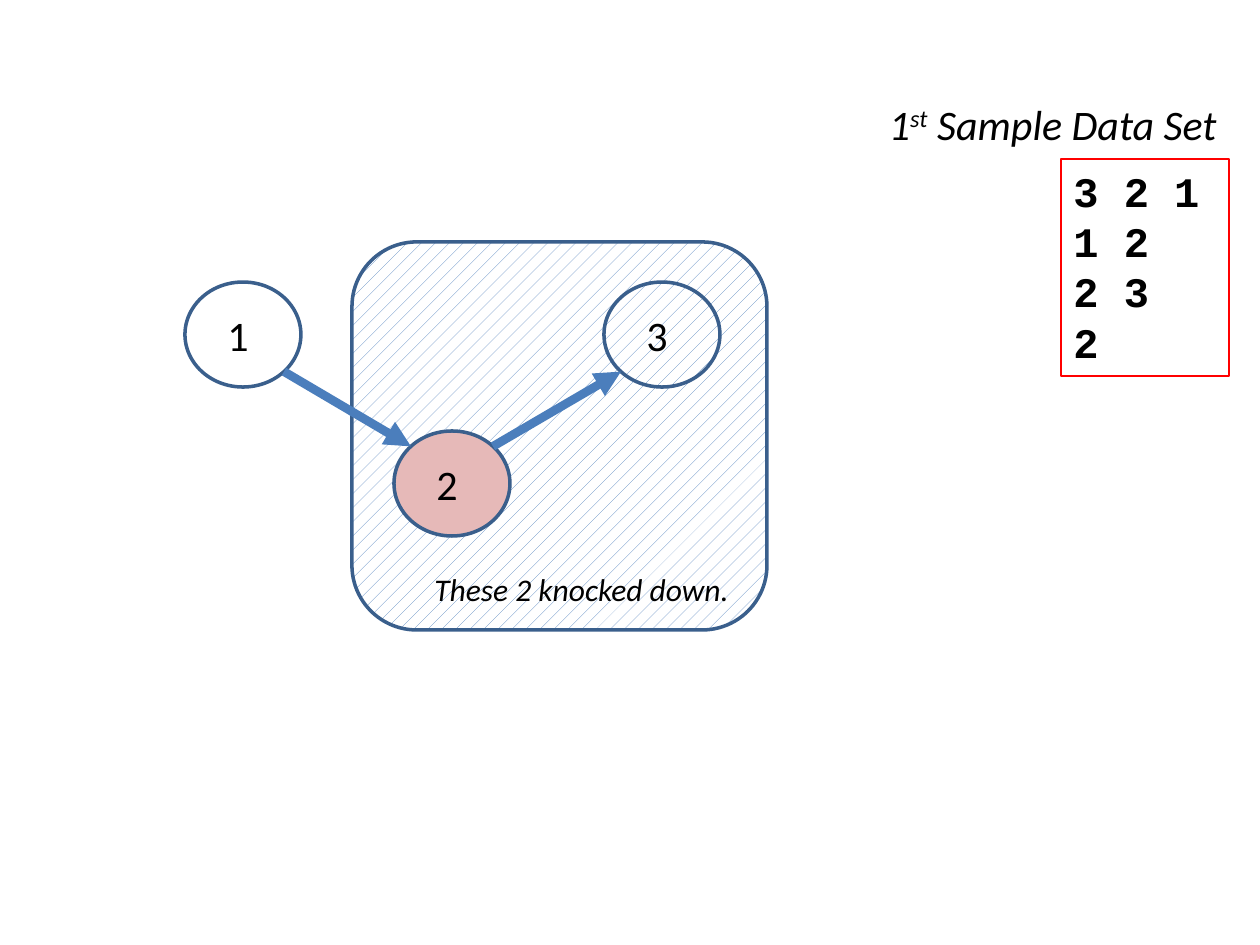
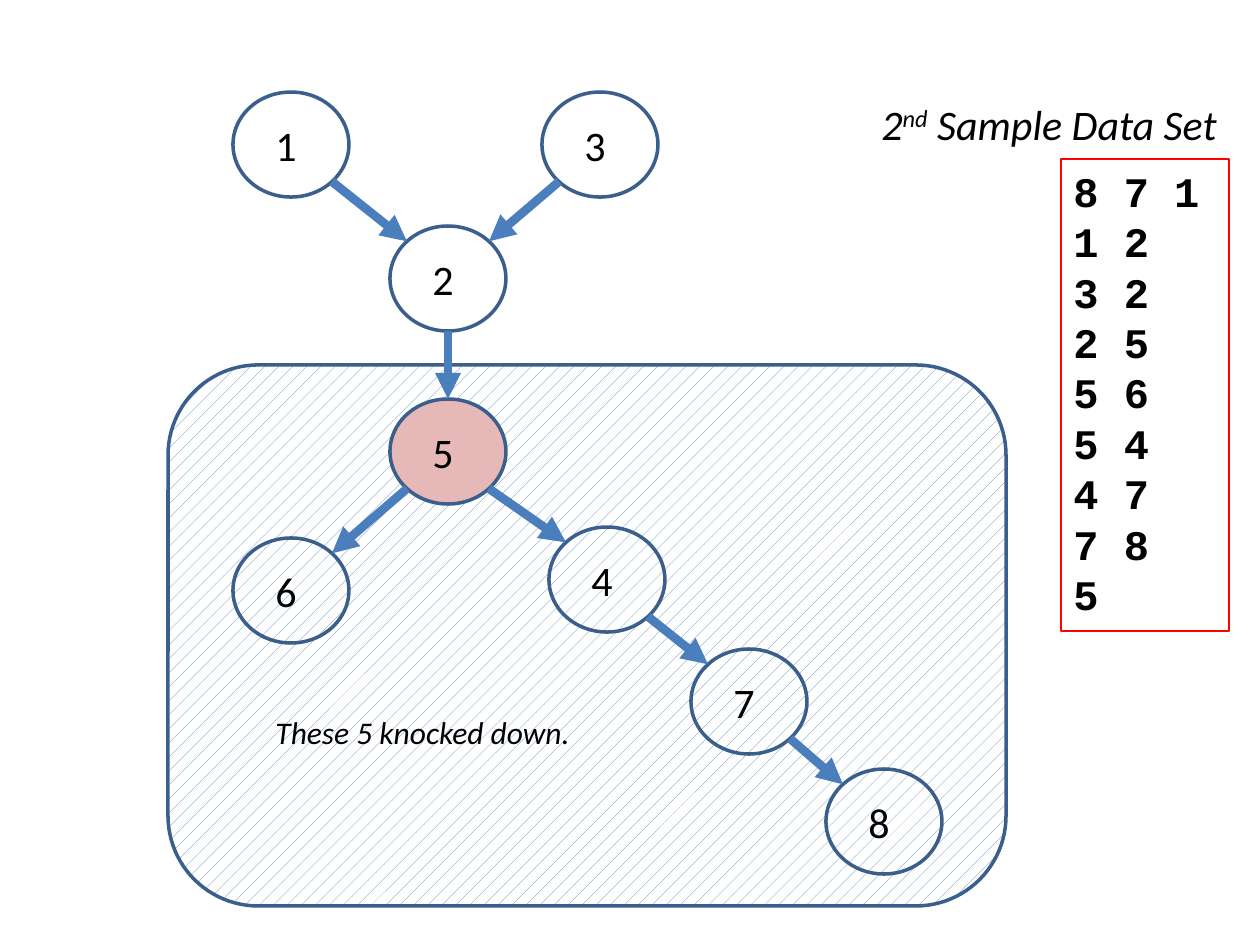
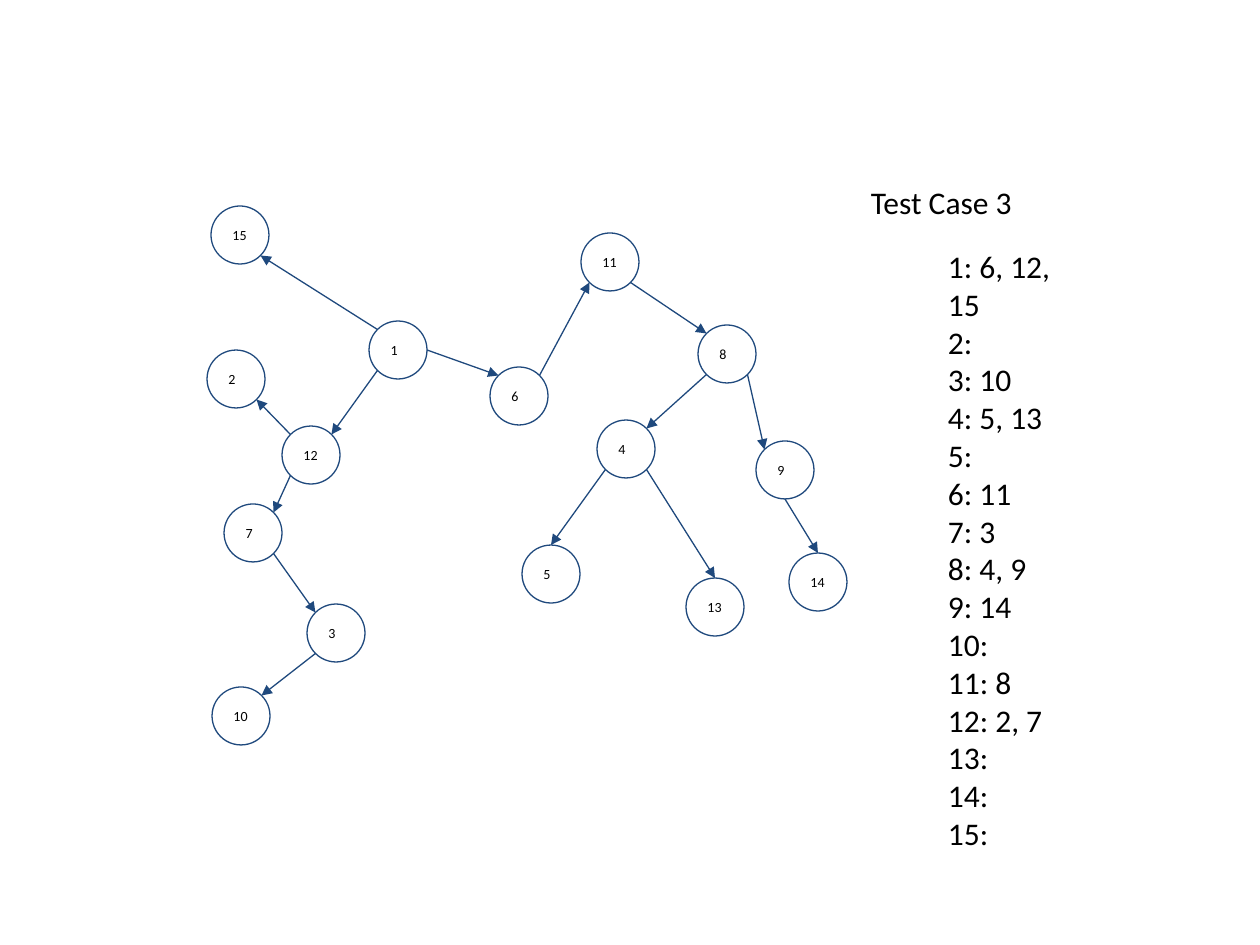
from math import sqrt

from lxml import etree
from pptx import Presentation
from pptx.dml.color import RGBColor
from pptx.enum.dml import MSO_PATTERN
from pptx.enum.shapes import MSO_CONNECTOR, MSO_SHAPE
from pptx.enum.text import MSO_ANCHOR, MSO_AUTO_SIZE, PP_ALIGN
from pptx.oxml.ns import qn
from pptx.util import Emu, Inches, Pt

PIXELS_PER_INCH = 126
BLACK, WHITE = "000000", "FFFFFF"
OUTLINE, ARROW, FINE = "3A5F8C", "4B7EBC", "1F497D"
PUSHED, HATCH, FRAME = "E6B9B8", "4F81BD", "FF0000"
DOMINO = (116, 105)
CIRCLE = (58, 58)
INSET = 13
SITES = {"t": (0, -1), "b": (0, 1), "r": (1, 0), "tl": (-1, -1),
         "tr": (1, -1), "bl": (-1, 1), "br": (1, 1)}

SAMPLE_1 = {
    "heading": ("1", "st", 840),
    "data": ["3 2 1", "1 2", "2 3", "2"],
    "region": (352, 242, 415, 388),
    "caption": ("These 2 knocked down.", (422, 564, 334, 50)),
    "pushed": 2,
    "nodes": {1: (185, 282), 2: (394, 431), 3: (604, 282)},
    "edges": [(1, "br", 2, "tl"), (2, "tr", 3, "bl")],
}
SAMPLE_2 = {
    "heading": ("2", "nd", 856),
    "data": ["8 7 1", "1 2", "3 2", "2 5", "5 6", "5 4", "4 7", "7 8", "5"],
    "region": (168, 365, 838, 541),
    "caption": ("These 5 knocked down.", (263, 707, 344, 50)),
    "pushed": 5,
    "nodes": {1: (233, 92), 2: (390, 226), 3: (542, 92), 4: (549, 527),
              5: (390, 399), 6: (233, 538), 7: (691, 649), 8: (826, 769)},
    "edges": [(1, "br", 2, "tl"), (3, "bl", 2, "tr"), (2, "b", 5, "t"),
              (5, "bl", 6, "tr"), (5, "br", 4, "tl"), (4, "br", 7, "tl"),
              (7, "br", 8, "tl")],
}
CASE_NODES = {
    1: (369, 321), 2: (207, 350), 3: (307, 604), 4: (597, 420), 5: (522, 545),
    6: (490, 367), 7: (224, 504), 8: (698, 325), 9: (756, 441), 10: (212, 687),
    11: (581, 233), 12: (282, 426), 13: (686, 578), 14: (789, 553), 15: (211, 206),
}
CASE_EDGES = [
    (1, "bl", 12, "tr"), (1, "tl", 15, "br"), (1, "r", 6, "tl"),
    (11, "br", 8, "tl"), (8, "bl", 4, "tr"), (8, "br", 9, "tl"),
    (9, "b", 14, "t"), (4, "bl", 5, "t"), (4, "br", 13, "t"),
    (12, "tl", 2, "br"), (12, "bl", 7, "tr"), (7, "br", 3, "tl"),
    (3, "bl", 10, "tr"), (6, "tr", 11, "bl"),
]


def px(value):
    return Emu(round(value * 914400 / PIXELS_PER_INCH))


def color(hex_code):
    return RGBColor.from_string(hex_code)


def add_run(paragraph, text, size, font="Calibri", bold=False, italic=False, raised=False):
    run = paragraph.add_run()
    run.text = text
    run.font.name = font
    run.font.size = Pt(size)
    run.font.bold = bold
    run.font.italic = italic
    run.font.color.rgb = color(BLACK)
    if raised:
        run.font._element.set("baseline", "30000")


def write_lines(frame, lines, size, **style):
    for index, line in enumerate(lines):
        paragraph = frame.add_paragraph() if index else frame.paragraphs[0]
        paragraph.alignment = PP_ALIGN.LEFT
        add_run(paragraph, line, size, **style)


def set_insets(frame):
    frame.margin_left = frame.margin_right = px(INSET)
    frame.margin_top = frame.margin_bottom = px(INSET)


def add_text(slide, box, lines, size, **style):
    frame = slide.shapes.add_textbox(*map(px, box)).text_frame
    frame.word_wrap = True
    frame.auto_size = MSO_AUTO_SIZE.SHAPE_TO_FIT_TEXT
    write_lines(frame, lines, size, **style)
    return frame


def add_outline(slide, preset, box, line_color, line_width, fill=None):
    outline = slide.shapes.add_shape(preset, *map(px, box))
    outline.shadow.inherit = False
    outline.line.color.rgb = color(line_color)
    outline.line.width = Pt(line_width)
    if fill:
        outline.fill.solid()
        outline.fill.fore_color.rgb = color(fill)
    else:
        outline.fill.background()
    return outline


def site_point(corner, size, site):
    across, down = SITES[site]
    reach = 1 / sqrt(2) if across and down else 1
    return (corner[0] + size[0] / 2 * (1 + across * reach),
            corner[1] + size[1] / 2 * (1 + down * reach))


def add_arrows(slide, nodes, edges, size, line_color, line_width):
    for source, leaving, target, entering in edges:
        start = site_point(nodes[source], size, leaving)
        end = site_point(nodes[target], size, entering)
        arrow = slide.shapes.add_connector(MSO_CONNECTOR.STRAIGHT, *map(px, start + end))
        arrow.line.color.rgb = color(line_color)
        arrow.line.width = Pt(line_width)
        etree.SubElement(arrow.line._get_or_add_ln(), qn("a:tailEnd"), type="triangle")
        etree.SubElement(arrow._element.spPr, qn("a:effectLst"))


def add_region(slide, box):
    region = add_outline(slide, MSO_SHAPE.ROUNDED_RECTANGLE, box, OUTLINE, 2)
    region.fill.patterned()
    region.fill.pattern = MSO_PATTERN.PERCENT_10
    region.fill.fore_color.rgb = color(HATCH)
    region.fill.back_color.rgb = color(WHITE)


def add_domino(slide, number, corner, fill):
    left, top = corner
    add_outline(slide, MSO_SHAPE.OVAL, corner + DOMINO, OUTLINE, 2, fill)
    add_text(slide, (left + 30, top + 21, 57, 63), [str(number)], 24)


def add_circle(slide, number, corner):
    circle = add_outline(slide, MSO_SHAPE.OVAL, corner + CIRCLE, FINE, 0.75)
    frame = circle.text_frame
    frame.vertical_anchor = MSO_ANCHOR.MIDDLE
    set_insets(frame)
    write_lines(frame, [str(number)], 8)


def add_data(slide, lines):
    box = (1061, 159, 168, 13 + 51 * len(lines))
    data = add_outline(slide, MSO_SHAPE.RECTANGLE, box, FRAME, 0.75, WHITE)
    frame = data.text_frame
    frame.vertical_anchor = MSO_ANCHOR.TOP
    frame.auto_size = MSO_AUTO_SIZE.SHAPE_TO_FIT_TEXT
    write_lines(frame, lines, 24, font="Courier New", bold=True)


def add_heading(slide, ordinal, suffix, left):
    frame = add_text(slide, (left, 92, 1229 - left, 63), [ordinal], 24, italic=True)
    paragraph = frame.paragraphs[0]
    paragraph.alignment = PP_ALIGN.RIGHT
    add_run(paragraph, suffix, 24, italic=True, raised=True)
    add_run(paragraph, " Sample Data Set", 24, italic=True)


def build_sample(slide, sample):
    add_region(slide, sample["region"])
    for number, corner in sample["nodes"].items():
        add_domino(slide, number, corner, PUSHED if number == sample["pushed"] else None)
    add_arrows(slide, sample["nodes"], sample["edges"], DOMINO, ARROW, 5)
    add_data(slide, sample["data"])
    caption, box = sample["caption"]
    add_text(slide, box, [caption], 18, italic=True)
    add_heading(slide, *sample["heading"])


def neighbour_lines(nodes, edges):
    for number in nodes:
        targets = sorted(edge[2] for edge in edges if edge[0] == number)
        yield f"{number}: " + ", ".join(map(str, targets))


def build_test_case(slide):
    for number, corner in CASE_NODES.items():
        add_circle(slide, number, corner)
    add_arrows(slide, CASE_NODES, CASE_EDGES, CIRCLE, FINE, 0.75)
    neighbours = neighbour_lines(CASE_NODES, CASE_EDGES)
    set_insets(add_text(slide, (935, 234, 161, 674), neighbours, 18))
    set_insets(add_text(slide, (858, 170, 316, 63), ["Test Case 3"], 18))


def main():
    deck = Presentation()
    deck.slide_width, deck.slide_height = Inches(10), Inches(7.5)
    blank = deck.slide_layouts[6]
    for sample in (SAMPLE_1, SAMPLE_2):
        build_sample(deck.slides.add_slide(blank), sample)
    build_test_case(deck.slides.add_slide(blank))
    deck.save("out.pptx")


main()
